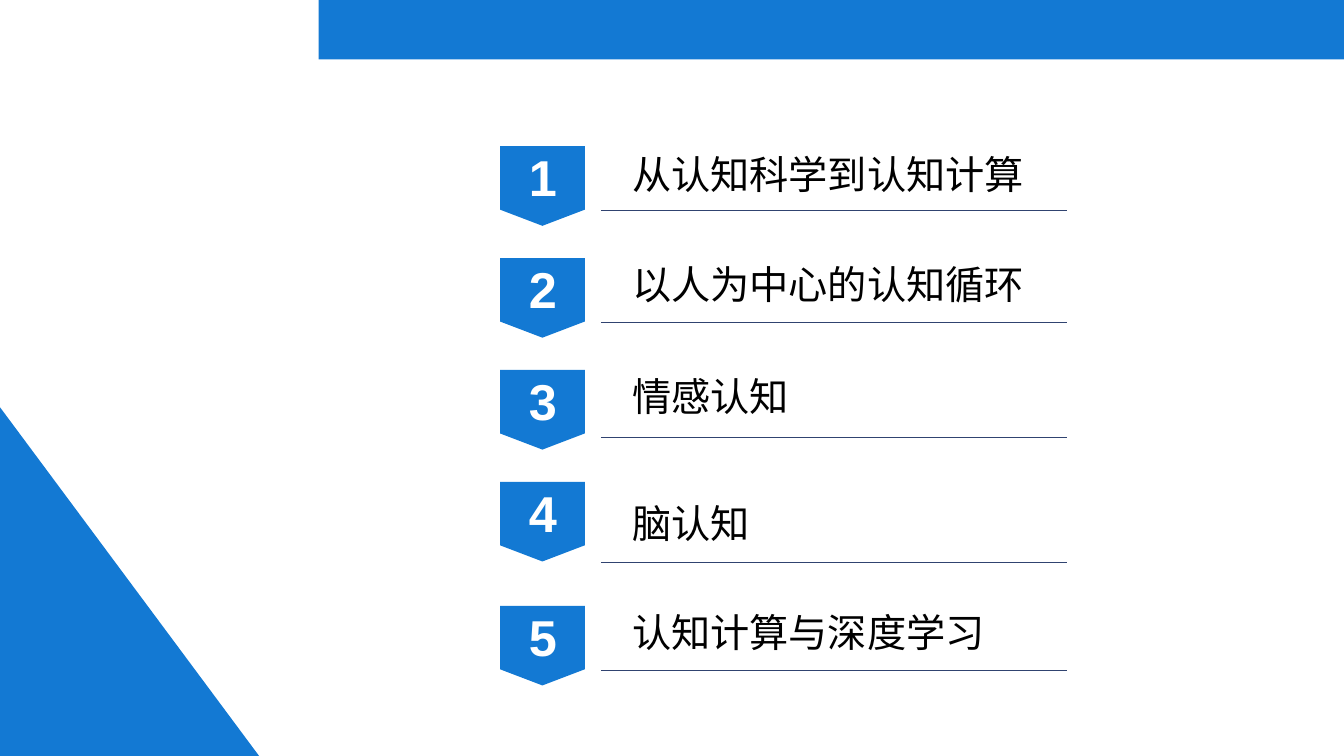
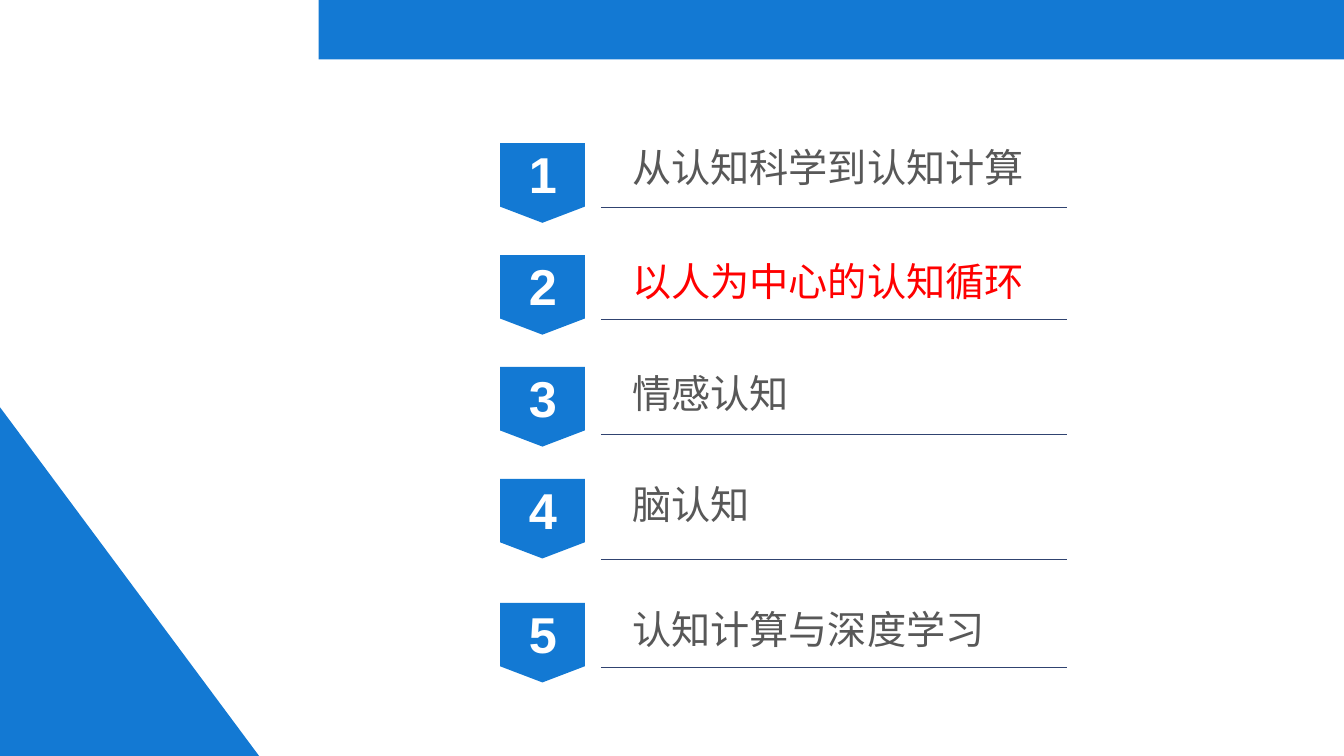
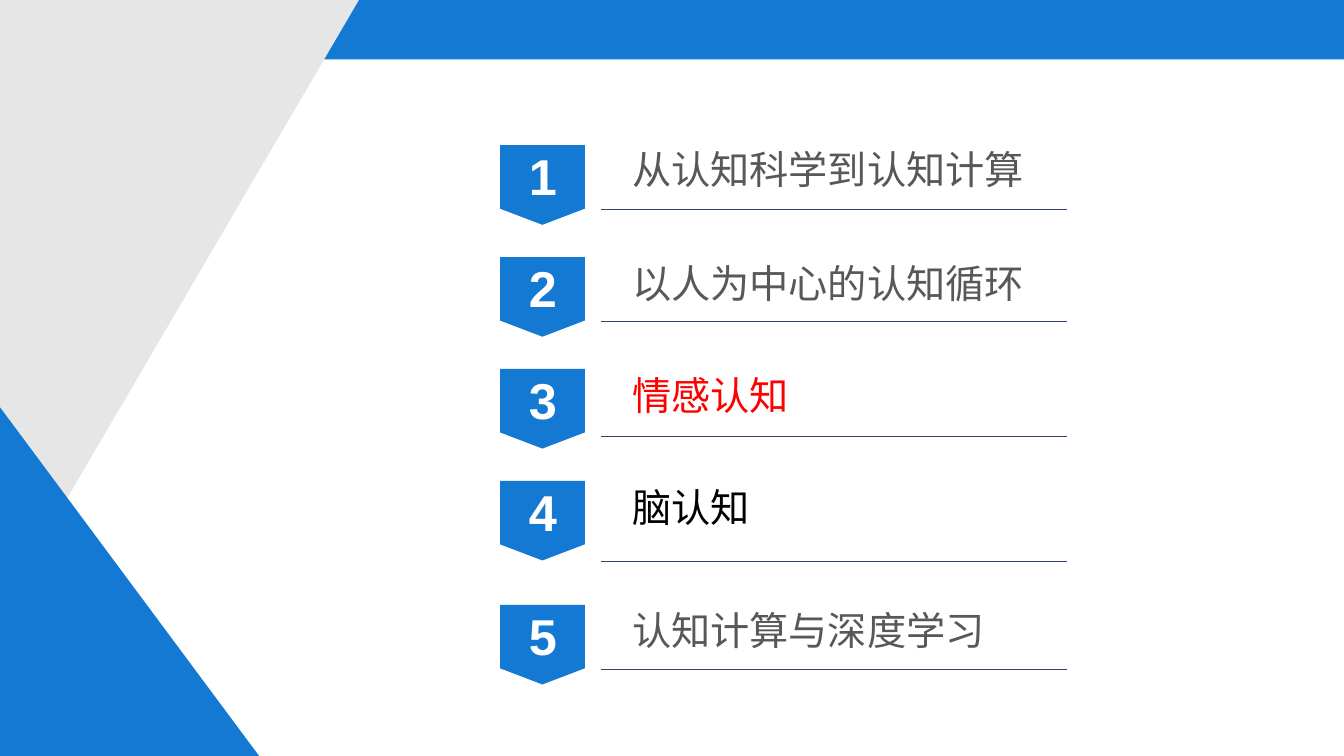
from lxml import etree
from pptx import Presentation
from pptx.dml.color import RGBColor
from pptx.enum.shapes import MSO_CONNECTOR, MSO_SHAPE
from pptx.enum.text import PP_ALIGN
from pptx.oxml.ns import qn
from pptx.util import Inches, Pt

# Shared look
BLUE = RGBColor(0x13, 0x79, 0xD3)
NAVY = RGBColor(0x30, 0x43, 0x70)
LIGHT_GRAY = RGBColor(0xE7, 0xE6, 0xE6)
WHITE = RGBColor(0xFF, 0xFF, 0xFF)
BLACK = RGBColor(0x00, 0x00, 0x00)
GRAY = RGBColor(0x58, 0x58, 0x58)
RED = RGBColor(0xFF, 0x00, 0x00)
NUMBER_FONT = "Arial"
TOPIC_FONT = "Noto Sans CJK JP"
SLIDE_W, SLIDE_H = 13.33, 7.5
AGENDA_LEFT = 4.96

# Topic, then the offsets of its flag, label and rule from the agenda top
AGENDA = [
    ("从认知科学到认知计算", 0, -0.01, 0.64),
    ("以人为中心的认知循环", 1.11, 1.12, 1.75),
    ("情感认知", 2.22, 2.23, 2.89),
    ("脑认知", 3.33, 3.34, 4.13),
    ("认知计算与深度学习", 4.56, 4.57, 5.2),
]

# Agenda top, topic colours, extra label drops by row, gray corner or not
SLIDES = [
    (1.45, [BLACK] * 5, {0: 0.04, 3: 0.15}, False),
    (1.42, [GRAY, RED, GRAY, GRAY, GRAY], {}, False),
    (1.44, [GRAY, GRAY, RED, BLACK, GRAY], {}, True),
]


def paint(shape, color):
    shape.shadow.inherit = False
    shape.fill.solid()
    shape.fill.fore_color.rgb = color
    shape.line.fill.background()


def add_polygon(slide, points, color):
    corners = [(Inches(x), Inches(y)) for x, y in points]
    builder = slide.shapes.build_freeform(*corners[0])
    builder.add_line_segments(corners[1:], close=True)
    paint(builder.convert_to_shape(), color)


def add_text(slide, box, text, font_name, size, color, bold=False,
             align=PP_ALIGN.LEFT):
    frame = slide.shapes.add_textbox(*map(Inches, box)).text_frame
    frame.margin_left = frame.margin_top = Inches(0.01)
    frame.margin_right = frame.margin_bottom = 0
    frame.word_wrap = True
    paragraph = frame.paragraphs[0]
    paragraph.text = text
    paragraph.alignment = align
    font = paragraph.font
    font.name, font.size, font.bold = font_name, Pt(size), bold
    font.color.rgb = color
    # Chinese characters take their font from a:ea
    defaults = paragraph._p.pPr.find(qn("a:defRPr"))
    etree.SubElement(defaults, qn("a:ea"), typeface=font_name)


def add_rule(slide, left, top, width):
    rule = slide.shapes.add_connector(
        MSO_CONNECTOR.STRAIGHT, Inches(left), Inches(top),
        Inches(left + width), Inches(top))
    rule.line.color.rgb = NAVY
    rule.line.width = Pt(1.02)
    etree.SubElement(rule._element.spPr, qn("a:effectLst"))


def add_frame(slide, gray_corner):
    """Top band and corner triangles."""
    band_left = 3.16
    band = slide.shapes.add_shape(
        MSO_SHAPE.RECTANGLE, Inches(band_left), 0,
        Inches(SLIDE_W - band_left), Inches(0.59))
    paint(band, BLUE)
    if gray_corner:
        add_polygon(slide, [(0, 0), (3.56, 0), (0, 6.08)], LIGHT_GRAY)
    add_polygon(slide, [(0, 4.04), (2.57, SLIDE_H), (0, SLIDE_H)], BLUE)


def add_flag(slide, left, top, number):
    """Pointed flag with its number."""
    width, side, height = 0.84, 0.63, 0.79
    right = left + width
    add_polygon(slide, [(left, top), (right, top), (right, top + side),
                        (left + width / 2, top + height),
                        (left, top + side)], BLUE)
    add_text(slide, (left, top - 0.01, width, side), str(number),
             NUMBER_FONT, 36, WHITE, bold=True, align=PP_ALIGN.CENTER)


def add_agenda(slide, left, top, colors, drops):
    """Numbered topics, each underlined."""
    for row, (topic, flag_y, label_y, rule_y) in enumerate(AGENDA):
        add_flag(slide, left, top + flag_y, row + 1)
        add_rule(slide, left + 1, top + rule_y, 4.62)
        label_top = top + label_y + drops.get(row, 0)
        add_text(slide, (left + 1.3, label_top, 4.3, 0.49), topic,
                 TOPIC_FONT, 28, colors[row])


def main():
    deck = Presentation()
    deck.slide_width, deck.slide_height = Inches(SLIDE_W), Inches(SLIDE_H)
    blank_layout = deck.slide_layouts[6]
    for top, colors, drops, gray_corner in SLIDES:
        slide = deck.slides.add_slide(blank_layout)
        add_frame(slide, gray_corner)
        add_agenda(slide, AGENDA_LEFT, top, colors, drops)
    deck.save("out.pptx")


if __name__ == "__main__":
    main()
